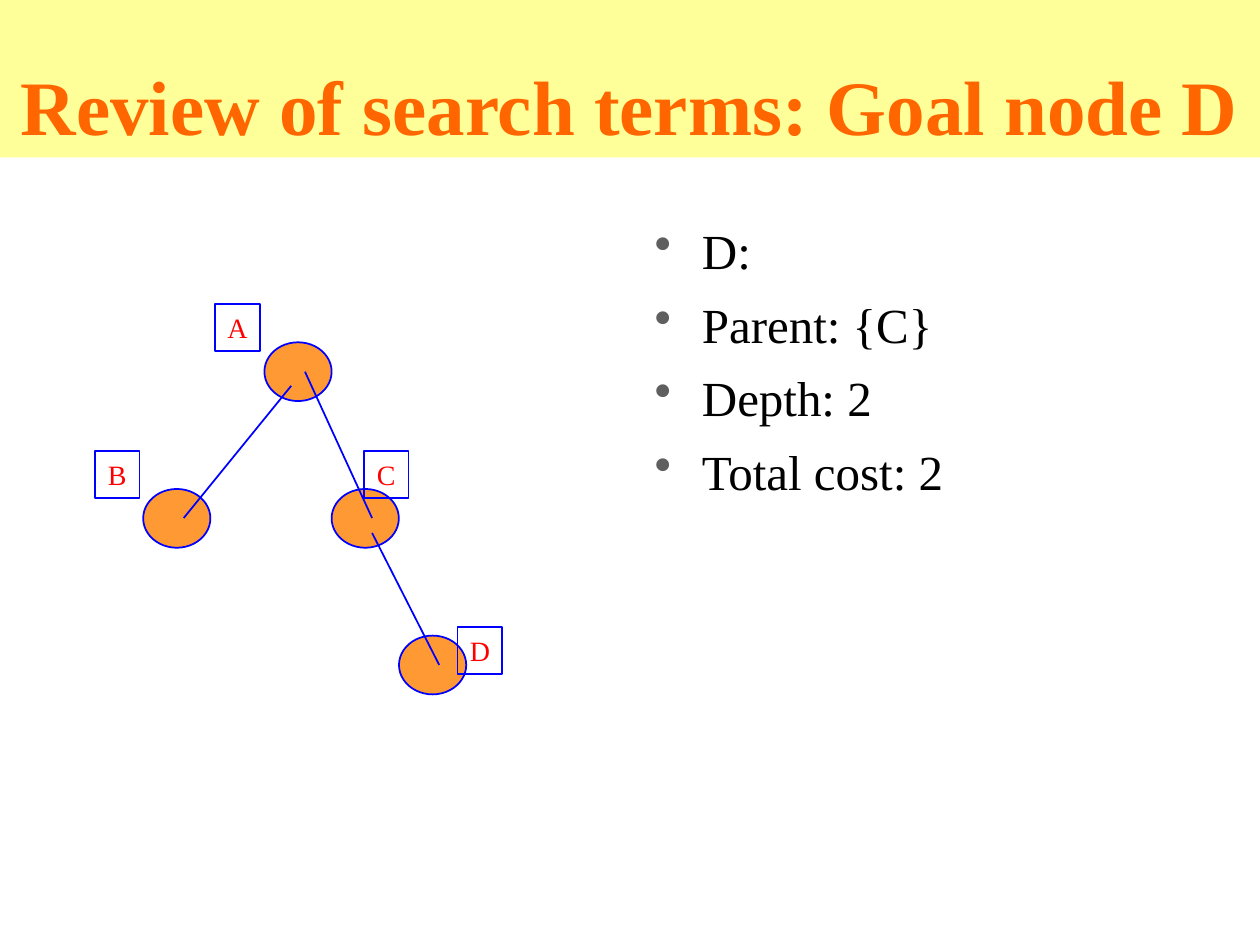
from pptx import Presentation
from pptx.dml.color import RGBColor
from pptx.enum.shapes import MSO_CONNECTOR, MSO_SHAPE
from pptx.enum.text import MSO_ANCHOR, MSO_AUTO_SIZE, PP_ALIGN
from pptx.oxml.ns import qn
from pptx.util import Pt
from lxml import etree

OVAL, BOX, STRAIGHT = MSO_SHAPE.OVAL, MSO_SHAPE.RECTANGLE, MSO_CONNECTOR.STRAIGHT
CENTER, LEFT = PP_ALIGN.CENTER, PP_ALIGN.LEFT
MIDDLE, BOTTOM = MSO_ANCHOR.MIDDLE, MSO_ANCHOR.BOTTOM
FIXED = MSO_AUTO_SIZE.NONE

YELLOW = RGBColor(0xFF, 0xFF, 0x99)
TITLE_ORANGE = RGBColor(0xFF, 0x66, 0x00)
NODE_ORANGE = RGBColor(0xFF, 0x99, 0x33)
BLUE = RGBColor(0x00, 0x00, 0xFF)
RED = RGBColor(0xFF, 0x00, 0x00)
BLACK = RGBColor(0x00, 0x00, 0x00)
BULLET_GRAY = "5F5F5F"

NODE_SIZE = (38.4, 33.6)
LABEL_SIZE = (25.6, 26.8)
INDENT = 27

# Tree layout: name -> (node centre, label corner)
NODES = {
    "C": ((208.7, 296.2), (207.9, 257.6)),
    "A": ((170.3, 212.4), (122.9, 173.8)),
    "B": ((101, 296.2), (54.2, 257.6)),
    "D": ((247.2, 380), (261.4, 358.4)),
}
EDGES = [
    ((166.4, 220.5), (105, 296)),
    ((174.3, 212.4), (212.6, 296)),
    ((212.6, 304.5), (251, 380)),
]
FACTS = ["D:", "Parent: {C}", "Depth: 2", "Total cost: 2"]


class TreeSlide:
    font_name = "Times New Roman"

    def __init__(self, deck):
        self.page = deck.slides.add_slide(deck.slide_layouts[5])

    def style(self, para, size, color, align=LEFT, bold=False):
        para.alignment = align
        para.font.name = self.font_name
        para.font.size = Pt(size)
        para.font.bold = bold
        para.font.color.rgb = color

    def title(self, text, width, height):
        box = self.page.shapes.title
        box.left, box.top, box.width, box.height = 0, 0, Pt(width), Pt(height)
        box.fill.solid()
        box.fill.fore_color.rgb = YELLOW
        frame = box.text_frame
        frame.text = text
        frame.auto_size = FIXED
        frame.vertical_anchor = BOTTOM
        self.style(frame.paragraphs[0], 44, TITLE_ORANGE, CENTER, True)

    def outlined(self, kind, left, top, size):
        shape = self.page.shapes.add_shape(kind, Pt(left), Pt(top), *map(Pt, size))
        shape.shadow.inherit = False
        shape.line.color.rgb = BLUE
        shape.line.width = Pt(1)
        return shape

    def node(self, x, y):
        width, height = NODE_SIZE
        oval = self.outlined(OVAL, x - width / 2, y - height / 2, NODE_SIZE)
        oval.fill.solid()
        oval.fill.fore_color.rgb = NODE_ORANGE

    def label(self, text, left, top):
        box = self.outlined(BOX, left, top, LABEL_SIZE)
        box.fill.background()
        frame = box.text_frame
        frame.text = text
        frame.word_wrap = False
        frame.vertical_anchor = MIDDLE
        self.style(frame.paragraphs[0], 16, RED, CENTER)

    def edge(self, start, end):
        line = self.page.shapes.add_connector(STRAIGHT, *map(Pt, start + end))
        line.line.color.rgb = BLUE
        line.line.width = Pt(1)
        etree.SubElement(line._element.spPr, qn("a:effectLst"))

    def bullets(self, items, left, top, width, height):
        box = self.page.shapes.add_textbox(Pt(left), Pt(top), Pt(width), Pt(height))
        frame = box.text_frame
        frame.word_wrap = True
        frame.margin_top = Pt(6)
        for index, item in enumerate(items):
            para = frame.add_paragraph() if index else frame.paragraphs[0]
            para.text = item
            if index:
                para.space_before = Pt(8.4)
            props = para._p.get_or_add_pPr()
            props.set("marL", str(Pt(INDENT)))
            props.set("indent", str(-Pt(INDENT)))
            color = etree.SubElement(props, qn("a:buClr"))
            etree.SubElement(color, qn("a:srgbClr"), val=BULLET_GRAY)
            etree.SubElement(props, qn("a:buChar"), char="•")
            self.style(para, 28, BLACK)


def main():
    deck = Presentation()
    deck.slide_width, deck.slide_height = Pt(720), Pt(540)
    slide = TreeSlide(deck)

    slide.title("Review of search terms: Goal node D", 720, 90)

    # Search tree: nodes, then edges, then labels on top
    for center, _ in NODES.values():
        slide.node(*center)
    for start, end in EDGES:
        slide.edge(start, end)
    for name, (_, corner) in NODES.items():
        slide.label(name, *corner)

    # Facts about the goal node
    slide.bullets(FACTS, 367, 120, 353, 420)

    deck.save("out.pptx")


if __name__ == "__main__":
    main()
